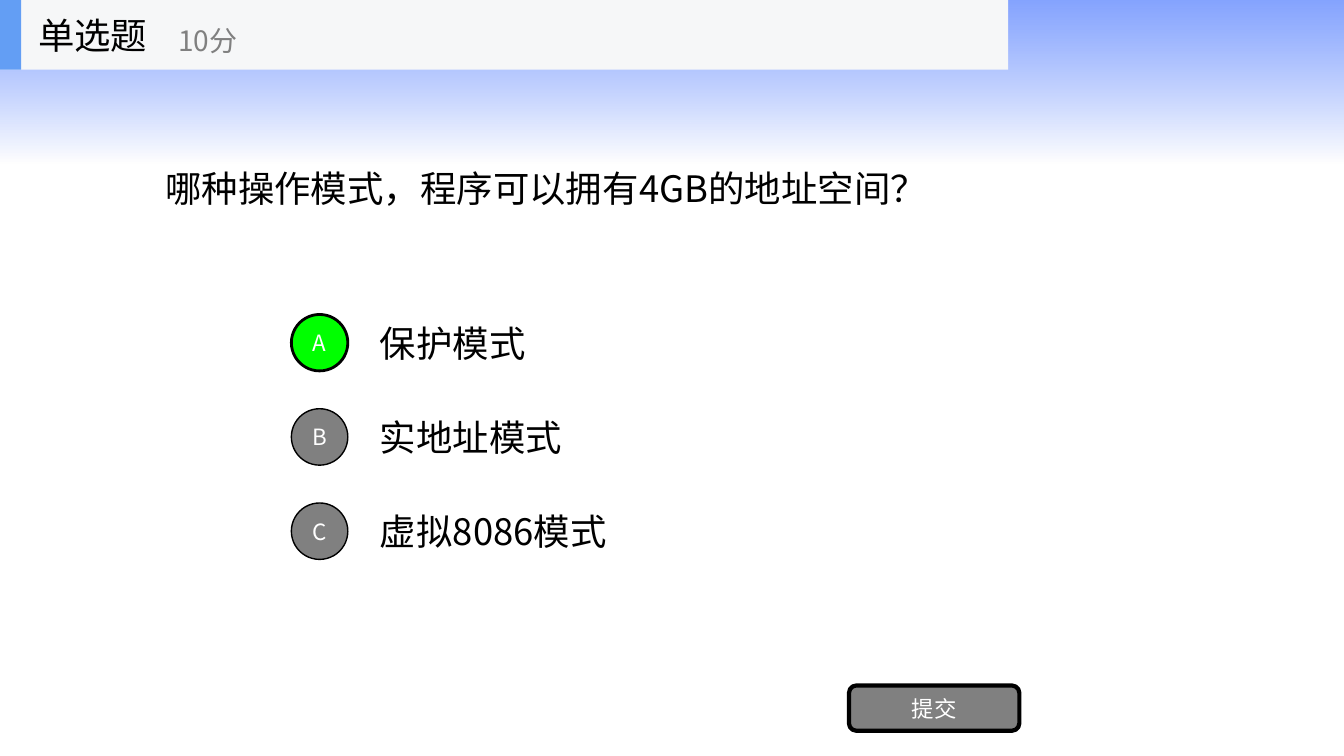
import dataclasses

import pptx
import pptx.dml.color
import pptx.enum.shapes
import pptx.enum.text
import pptx.oxml.ns
import pptx.util
from lxml import etree
from pptx.util import Inches

SHAPE = pptx.enum.shapes.MSO_SHAPE
ALIGN = pptx.enum.text.PP_ALIGN


@dataclasses.dataclass(frozen=True)
class Theme:
    font: str = "Noto Sans CJK SC"
    black: str = "000000"
    white: str = "FFFFFF"
    gray: str = "808080"
    correct: str = "00FF00"
    header: str = "F6F7F8"
    accent: str = "639EF4"
    sky: str = "3366FF"
    body_size: int = 26
    score_size: int = 20
    label_size: int = 16


THEME = Theme()


def rgb(color):
    return pptx.dml.color.RGBColor.from_string(color)


def write(shape, text, size, color, align=ALIGN.LEFT):
    frame = shape.text_frame
    frame.word_wrap = True
    frame.vertical_anchor = pptx.enum.text.MSO_ANCHOR.MIDDLE
    para = frame.paragraphs[0]
    para.alignment = align
    span = para.add_run()
    span.text = text
    span.font.size = pptx.util.Pt(size)
    span.font.name = THEME.font
    span.font.color.rgb = rgb(color)
    east_asian = etree.SubElement(span.font._element, pptx.oxml.ns.qn("a:ea"))
    east_asian.set("typeface", THEME.font)


def add_text(page, area, text, size=THEME.body_size, color=THEME.black):
    box = page.shapes.add_textbox(*map(Inches, area))
    write(box, text, size, color)


def add_block(page, kind, area, fill):
    block = page.shapes.add_shape(kind, *map(Inches, area))
    block.shadow.inherit = False
    block.fill.solid()
    block.fill.fore_color.rgb = rgb(fill)
    block.line.fill.background()
    return block


def add_button(page, kind, area, label, fill, line_width):
    button = add_block(page, kind, area, fill)
    button.line.color.rgb = rgb(THEME.black)
    button.line.width = pptx.util.Pt(line_width)
    frame = button.text_frame
    frame.margin_left = frame.margin_right = 0
    frame.margin_top = frame.margin_bottom = 0
    write(button, label, THEME.label_size, THEME.white, ALIGN.CENTER)


def add_sky(page):
    """Draw the band that fades from blue at the top to white."""
    sky = add_block(page, SHAPE.RECTANGLE, (0, 0, 13.33, 1.62), THEME.sky)
    sky.fill.gradient()
    sky.fill.gradient_angle = 270
    looks = ((0, THEME.sky, 60), (1, THEME.white, 70))
    for stop, (position, color, opacity) in zip(sky.fill.gradient_stops, looks):
        stop.position = position
        stop.color.rgb = rgb(color)
    colors = sky._element.spPr.iter(pptx.oxml.ns.qn("a:srgbClr"))
    for color_element, (position, color, opacity) in zip(colors, looks):
        alpha = etree.SubElement(color_element, pptx.oxml.ns.qn("a:alpha"))
        alpha.set("val", str(opacity * 1000))


def add_header(page):
    add_block(page, SHAPE.RECTANGLE, (0, 0, 10, 0.69), THEME.header)
    add_block(page, SHAPE.RECTANGLE, (0, 0, 0.21, 0.69), THEME.accent)
    add_text(page, (0.28, 0, 2.08, 0.69), "单选题")
    add_text(page, (1.67, 0.12, 2.5, 0.56), "10分", THEME.score_size, THEME.gray)


def add_options(page, options, answer):
    for row, (letter, text) in enumerate(options):
        top = 3.05 + row * 0.935
        fill, line_width = (THEME.correct, 2) if letter == answer else (THEME.gray, 1)
        add_text(page, (3.67, top, 7, 0.7), text)
        add_button(page, SHAPE.OVAL, (2.89, top + 0.07, 0.56, 0.56),
                   letter, fill, line_width)


def main():
    deck = pptx.Presentation()
    deck.slide_width = Inches(13.33)
    deck.slide_height = Inches(7.5)
    page = deck.slides.add_slide(deck.slide_layouts[6])
    add_sky(page)
    add_text(page, (1.54, 0.69, 9.12, 2.34), "哪种操作模式，程序可以拥有4GB的地址空间？")
    options = (("A", "保护模式"), ("B", "实地址模式"), ("C", "虚拟8086模式"))
    add_options(page, options, answer="A")
    add_button(page, SHAPE.ROUNDED_RECTANGLE, (8.42, 6.8, 1.69, 0.45),
               "提交", THEME.gray, 3)
    add_header(page)
    deck.save("out.pptx")


if __name__ == "__main__":
    main()
